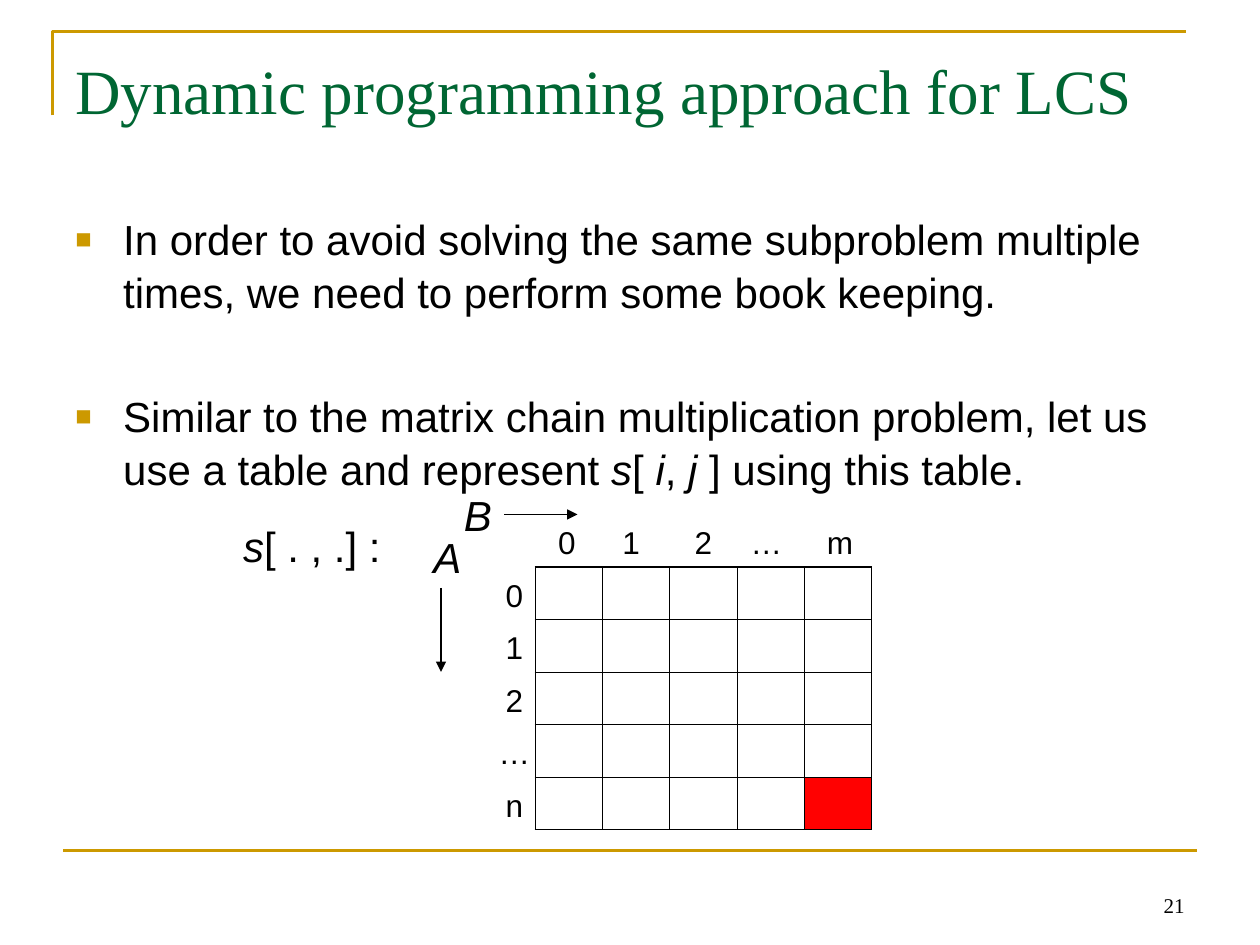
from dataclasses import dataclass
from itertools import product

from lxml.etree import SubElement
from pptx import Presentation
from pptx.dml.color import RGBColor
from pptx.enum.shapes import MSO_CONNECTOR
from pptx.enum.text import MSO_ANCHOR, MSO_AUTO_SIZE, PP_ALIGN
from pptx.oxml.ns import qn
from pptx.util import Inches, Pt


@dataclass(frozen=True)
class Theme:
    """Colours, fonts and type sizes of the slide."""
    gold: str = "CC9900"
    green: str = "006633"
    black: str = "000000"
    red: str = "FF0101"
    sans: str = "Arial"
    serif: str = "Times New Roman"
    title: int = 36
    body: int = 24
    label: int = 18
    foot: int = 12


@dataclass(frozen=True)
class Label:
    """A centred caption; x and y give its middle in grid units."""
    text: str
    x: float
    y: float
    size: int
    width: float = 4.1


@dataclass(frozen=True)
class Line:
    """A straight line between two grid points."""
    x1: float
    y1: float
    x2: float
    y2: float
    color: str
    weight: float
    arrow: bool = False


THEME = Theme()
SIDE = 5
LEFT, TOP = 51, 54
CELL_W, CELL_H = 6.4, 5
ROWS = ("0", "1", "2", "…", "n")
COLS = (("0", 54), ("1", 60.1), ("2", 67), ("…", 73), ("m", 80))
WIDE = {"…": 5.4, "m": 4.9}
POINTS = (
    "In order to avoid solving the same subproblem multiple times, "
    "we need to perform some book keeping.",
    "Similar to the matrix chain multiplication problem, let us use a table "
    "and represent *s*[ *i*, *j* ] using this table.",
)
LABELS = (
    Label("*s*[ . , .] :", 29.7, 52, THEME.body, 15.5),
    *(Label(t, 49, TOP + 2.65 + i * CELL_H, THEME.label, WIDE.get(t, 4.1))
      for i, t in enumerate(ROWS)),
    *(Label(t, x, 51.6, THEME.label, WIDE.get(t, 4.1)) for t, x in COLS),
    Label("*A*", 42.6, 53, THEME.body, 5),
    Label("*B*", 45.5, 49, THEME.body, 5),
)
LINES = (
    Line(6, 81, 114, 81, THEME.gold, 1.5),
    Line(42, 56, 42, 64, THEME.black, 0.75, True),
    Line(48, 49, 55, 49, THEME.black, 0.75, True),
)


def unit(n: float) -> int:
    """Turn grid units, 120 to the slide's width, into a length."""
    return Inches(n / 12)


def tint(code: str) -> RGBColor:
    """Read a hex colour."""
    return RGBColor.from_string(code)


def write(para, text: str, size: int, font: str, color: str) -> None:
    """Write text whose starred parts are italic."""
    for i, part in enumerate(text.split("*")):
        if part:
            run = para.add_run()
            run.text = part
            run.font.size = Pt(size)
            run.font.name = font
            run.font.italic = i % 2 == 1
            run.font.color.rgb = tint(color)


def add_box(slide, x: float, y: float, w: float, h: float):
    """Add a wrapping text box and return its frame."""
    frame = slide.shapes.add_textbox(unit(x), unit(y), unit(w), unit(h)).text_frame
    frame.word_wrap = True
    return frame


def add_label(slide, item: Label) -> None:
    """Add a caption around its middle."""
    high = 6 if item.size == THEME.body else 4.8
    frame = add_box(slide, item.x - item.width / 2, item.y - high / 2, item.width, high)
    frame.word_wrap = False
    frame.auto_size = MSO_AUTO_SIZE.SHAPE_TO_FIT_TEXT
    para = frame.paragraphs[0]
    para.alignment = PP_ALIGN.CENTER
    write(para, item.text, item.size, THEME.sans, THEME.black)


def add_line(slide, item: Line) -> None:
    """Add a line, with an arrowhead if asked."""
    line = slide.shapes.add_connector(
        MSO_CONNECTOR.STRAIGHT,
        unit(item.x1), unit(item.y1), unit(item.x2), unit(item.y2))
    line.line.color.rgb = tint(item.color)
    line.line.width = Pt(item.weight)
    if item.arrow:
        SubElement(line.line._get_or_add_ln(), qn("a:tailEnd"), type="triangle")
    SubElement(line._element.spPr, qn("a:effectLst"))


def add_frame(slide) -> None:
    """Add the open corner around the title."""
    pen = slide.shapes.build_freeform(unit(5), unit(11))
    pen.add_line_segments([(unit(5), unit(3)), (unit(113), unit(3))], close=False)
    shape = pen.convert_to_shape()
    shape.shadow.inherit = False
    shape.fill.background()
    shape.line.color.rgb = tint(THEME.gold)
    shape.line.width = Pt(1.5)


def add_points(slide) -> None:
    """Add the bulleted text."""
    frame = add_box(slide, 6, 19.5, 108, 59.5)
    for i, text in enumerate(POINTS):
        para = frame.add_paragraph() if i else frame.paragraphs[0]
        para.line_spacing = 1.05
        para.space_before = Pt(41 if i else 0)
        props = para._p.get_or_add_pPr()
        props.set("marL", str(Inches(0.38)))
        props.set("indent", str(-Inches(0.38)))
        SubElement(SubElement(props, qn("a:buClr")), qn("a:srgbClr"), val=THEME.gold)
        SubElement(props, qn("a:buSzPct"), val="65000")
        SubElement(props, qn("a:buFont"), typeface=THEME.sans)
        SubElement(props, qn("a:buChar"), char="■")
        write(para, text, THEME.body, THEME.sans, THEME.black)


def edge(cell, row: int, col: int) -> None:
    """Rule a cell, heavier on the outside of the table."""
    outer = {"L": col == 0, "R": col == SIDE - 1, "T": row == 0, "B": row == SIDE - 1}
    props = cell._tc.get_or_add_tcPr()
    for i, (side, heavy) in enumerate(outer.items()):
        rule = props.makeelement(qn(f"a:ln{side}"), {"w": str(Pt(1.08 if heavy else 0.45))})
        fill = SubElement(rule, qn("a:solidFill"))
        SubElement(fill, qn("a:srgbClr"), val=THEME.black)
        props.insert(i, rule)


def add_grid(slide) -> None:
    """Add the empty table with its last cell marked."""
    table = slide.shapes.add_table(
        SIDE, SIDE, unit(LEFT), unit(TOP),
        unit(SIDE * CELL_W), unit(SIDE * CELL_H)).table
    table.first_row = table.horz_banding = False
    for row, col in product(range(SIDE), repeat=2):
        cell = table.cell(row, col)
        if row == col == SIDE - 1:
            cell.fill.solid()
            cell.fill.fore_color.rgb = tint(THEME.red)
        else:
            cell.fill.background()
        edge(cell, row, col)


def main() -> None:
    """Build and save the slide."""
    deck = Presentation()
    deck.slide_width, deck.slide_height = unit(120), unit(90)
    slide = deck.slides.add_slide(deck.slide_layouts[6])
    add_frame(slide)
    foot = add_box(slide, 86, 82, 28, 6)
    foot.vertical_anchor = MSO_ANCHOR.BOTTOM
    foot.paragraphs[0].alignment = PP_ALIGN.RIGHT
    write(foot.paragraphs[0], "21", THEME.foot, THEME.serif, THEME.black)
    head = add_box(slide, 6, 3.6, 108, 15)
    head.margin_top = Inches(0.11)
    write(head.paragraphs[0], "Dynamic programming approach for LCS",
          THEME.title, THEME.serif, THEME.green)
    add_points(slide)
    add_grid(slide)
    for item in LABELS:
        add_label(slide, item)
    for item in LINES:
        add_line(slide, item)
    deck.save("out.pptx")


if __name__ == "__main__":
    main()
